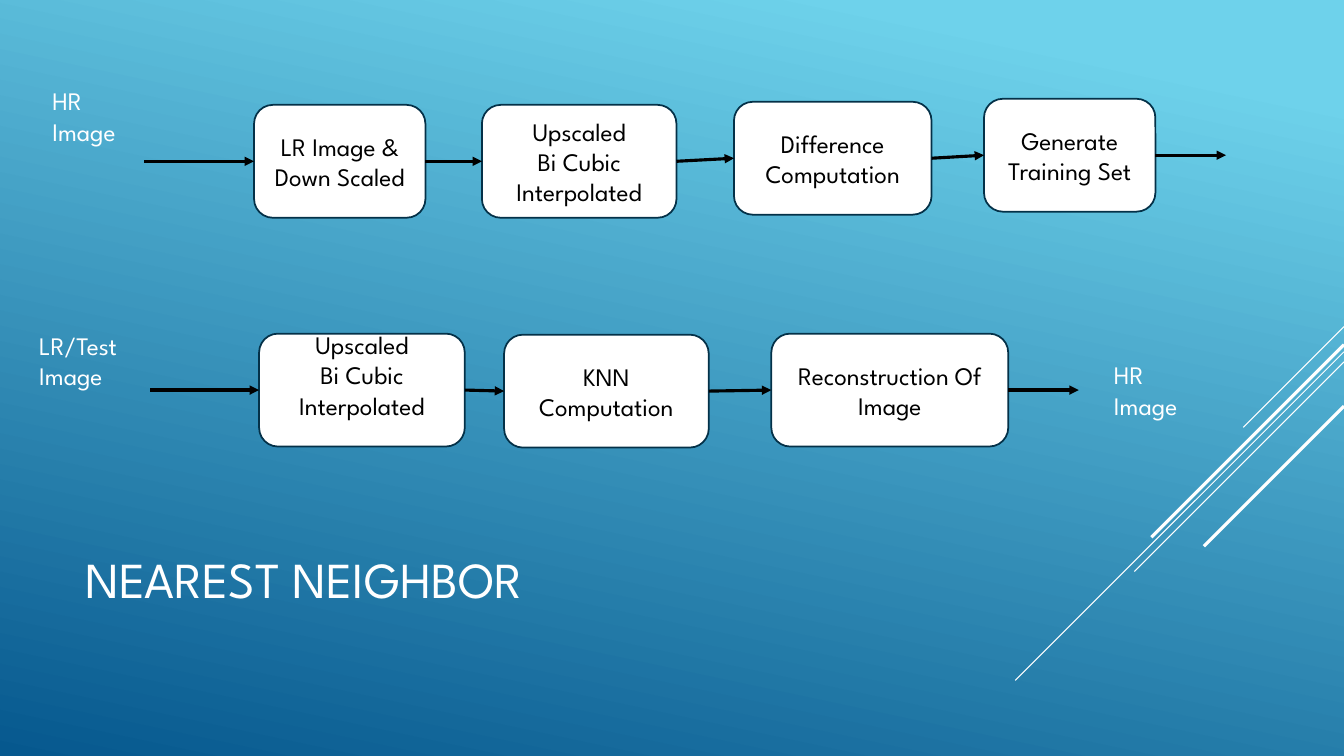
from pptx import Presentation
from pptx.dml.color import RGBColor
from pptx.enum import shapes, text
from pptx.oxml import parse_xml
from pptx.oxml.ns import nsdecls
from pptx.util import Inches, Pt

WHITE = RGBColor(0xFF, 0xFF, 0xFF)
BLACK = RGBColor(0, 0, 0)
NAVY = RGBColor(0x04, 0x31, 0x48)
SKY = RGBColor(0x6E, 0xD2, 0xEB)
BLUE = RGBColor(0x06, 0x58, 0x8E)
FONT = "League Spartan"
LEFT, RIGHT = 1, 3  # connection sites of a box


def write(frame, words, size, color, align):
    frame.word_wrap = True
    frame.text = words
    for para in frame.paragraphs:
        para.alignment = align
        para.font.name = FONT
        para.font.size = Pt(size)
        para.font.color.rgb = color


def draw_line(x1, y1, x2, y2, color, width, arrow=False):
    line = slide.shapes.add_connector(
        shapes.MSO_CONNECTOR.STRAIGHT, Inches(x1), Inches(y1), Inches(x2), Inches(y2))
    line.line.color.rgb = color
    line.line.width = Pt(width)
    if arrow:
        line.line._get_or_add_ln().append(
            parse_xml(f'<a:tailEnd {nsdecls("a")} type="triangle"/>'))
    line._element.spPr.append(parse_xml(f'<a:effectLst {nsdecls("a")}/>'))
    return line


prs = Presentation()
prs.slide_width, prs.slide_height = Inches(13.33), Inches(7.5)
slide = prs.slides.add_slide(prs.slide_layouts[5])

fill = slide.background.fill
fill.gradient()
fill.gradient_angle = 258
for stop, spot, color in zip(fill.gradient_stops, (0.1, 1), (SKY, BLUE)):
    stop.position = spot
    stop.color.rgb = color

# Diagonal accents rise at 45 degrees to the right edge
for top, run, width in [(3.24, 1, 0.75), (3.49, 3.26, 0.75), (3.59, 2.08, 0.75),
                        (3.42, 1.91, 2.25), (4.03, 1.39, 2.25)]:
    draw_line(13.33, top, 13.33 - run, top + run, WHITE, width)

title = slide.shapes.title
title.left, title.top = Inches(0.75), Inches(4.91)
title.width, title.height = Inches(9.33), Inches(1.65)
write(title.text_frame, "NEAREST NEIGHBOR", 36, WHITE, text.PP_ALIGN.LEFT)
title.text_frame.vertical_anchor = text.MSO_ANCHOR.MIDDLE

# Each flow: arrow start, arrow end, boxes as (left, top, width, words)
TALL = 1.12
UPSCALE = "Upscaled\nBi Cubic Interpolated"
train = [(2.52, 1.04, 1.7, "LR Image & Down Scaled"),
         (4.78, 1.04, 1.93, UPSCALE),
         (7.28, 1.01, 1.96, "Difference\nComputation"),
         (9.76, 0.98, 1.7, "Generate Training Set")]
test = [(2.57, 3.31, 2.04, UPSCALE),
        (5, 3.32, 2.03, "KNN Computation"),
        (7.65, 3.31, 2.35, "Reconstruction Of Image")]
for start, end, steps in [(1.43, 12.16, train), (1.49, 10.7, test)]:
    last = None
    for x, y, w, words in steps:
        box = slide.shapes.add_shape(
            shapes.MSO_SHAPE.ROUNDED_RECTANGLE, Inches(x), Inches(y), Inches(w), Inches(TALL))
        box.shadow.inherit = False
        box.fill.solid()
        box.fill.fore_color.rgb = WHITE
        box.line.color.rgb = NAVY
        box.line.width = Pt(1.25)
        write(box.text_frame, words, 18, BLACK, text.PP_ALIGN.CENTER)
        box.text_frame.vertical_anchor = text.MSO_ANCHOR.MIDDLE
        if steps is test and words == UPSCALE:
            box.text_frame.margin_bottom = Inches(0.35)
        mid = y + TALL / 2
        link = draw_line(start, mid, x, mid, BLACK, 2.25, arrow=True)
        if last:
            link.begin_connect(last, RIGHT)
        link.end_connect(box, LEFT)
        last = box
    link = draw_line(x + w, mid, end, mid, BLACK, 2.25, arrow=True)
    link.begin_connect(last, RIGHT)

for x, y, w, words in [(0.42, 0.8, 1.01, "HR Image"),
                       (0.29, 3.23, 1.24, "LR/Test Image"),
                       (10.95, 3.52, 1.01, "HR Image")]:
    label = slide.shapes.add_textbox(Inches(x), Inches(y), Inches(w), Inches(0.71))
    write(label.text_frame, words, 18, WHITE, text.PP_ALIGN.LEFT)

prs.save("out.pptx")
